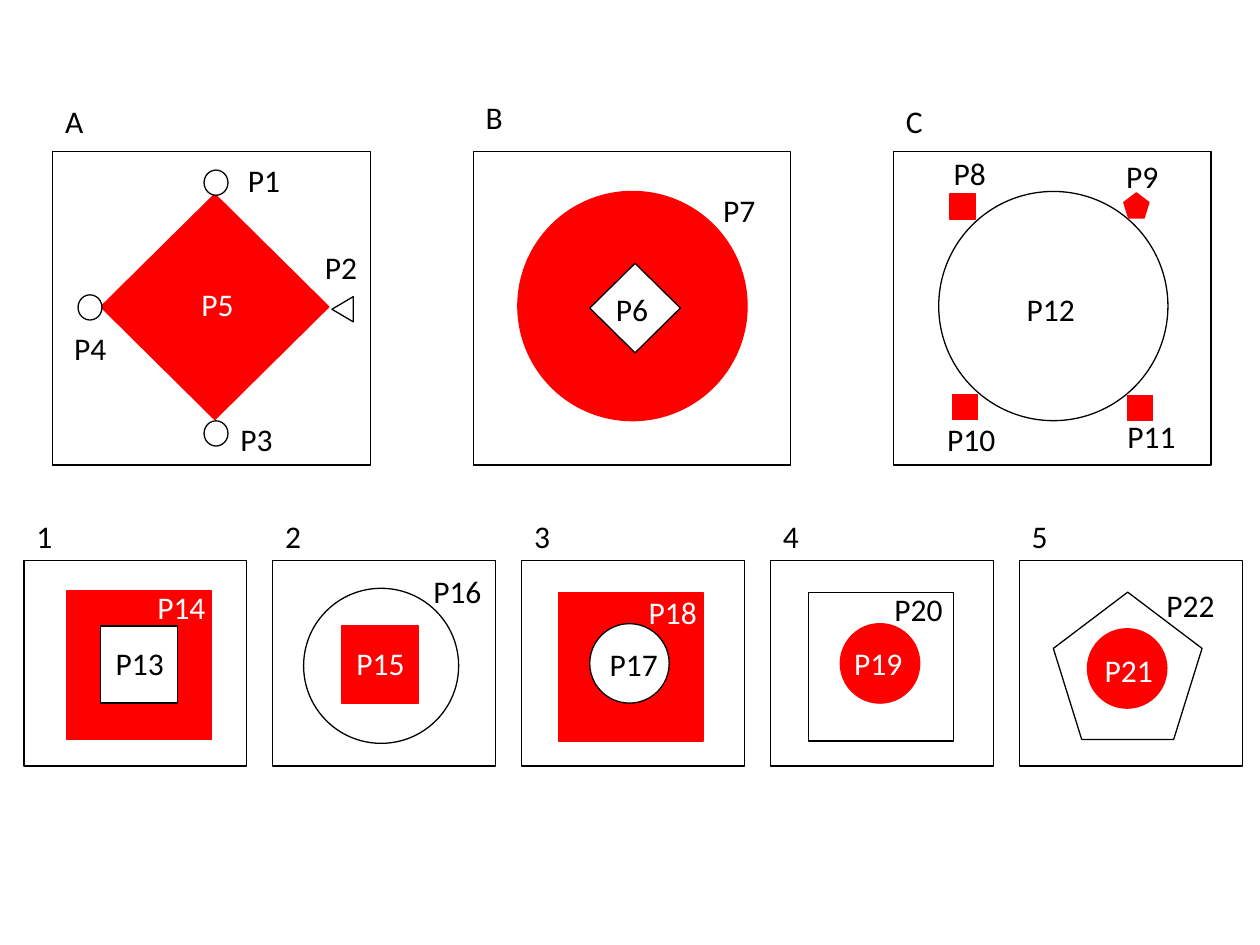
from dataclasses import dataclass

import pptx
import pptx.dml.color
import pptx.enum.shapes
import pptx.enum.text
import pptx.util

Pt = pptx.util.Pt
SHAPE = pptx.enum.shapes.MSO_SHAPE
COLOURS = {"black": "000000", "white": "FFFFFF", "red": "FF0000"}
LABEL_HEIGHT = 29


@dataclass(frozen=True)
class Figure:
    """A shape placed relative to its panel, in points; fill None leaves it open."""

    kind: int
    left: float
    top: float
    width: float
    height: float
    fill: str | None = "white"
    rotation: float = 0


@dataclass(frozen=True)
class Label:
    """A text placed relative to its panel, in points."""

    text: str
    left: float
    top: float
    width: float = 43.2
    colour: str = "black"


@dataclass(frozen=True)
class Panel:
    title: Label
    figures: list[Figure]
    labels: list[Label]


@dataclass(frozen=True)
class PanelRow:
    left: float
    top: float
    pitch: float
    width: float
    height: float
    panels: list[Panel]


def title(text: str, top: float) -> Label:
    return Label(text, 0, top, 28)


def circle(left: float, top: float, size: float, fill: str = "white") -> Figure:
    return Figure(SHAPE.OVAL, left, top, size, size, fill)


def square(left: float, top: float, size: float, fill: str = "white") -> Figure:
    return Figure(SHAPE.RECTANGLE, left, top, size, size, fill)


def knob(left: float, top: float) -> Figure:
    return Figure(SHAPE.OVAL, left, top, 13.7, 14.4)


def block(left: float, top: float, fill: str | None) -> Figure:
    return Figure(SHAPE.RECTANGLE, left, top, 82.8, 85, fill)


TOP_ROW = PanelRow(30.2, 86.4, 240.2, 181.4, 179.3, [
    Panel(
        title("A", -31.7),
        [
            Figure(SHAPE.DIAMOND, 27.4, 24.5, 130.3, 128.9, "red"),
            knob(86.4, 10.8),
            knob(14.4, 82.1),
            knob(86.4, 154.1),
            Figure(SHAPE.ISOSCELES_TRIANGLE, 158.4, 84.2, 14.4, 12.2, None, 270),
        ],
        [
            Label("P1", 104.4, 2.2),
            Label("P2", 148.4, 51.8),
            Label("P3", 100.1, 149.8),
            Label("P4", 5.1, 97.9),
            Label("P5", 77.8, 72.7, colour="white"),
        ],
    ),
    Panel(
        title("B", -33.8),
        [circle(25.5, 23, 131, "red"), Figure(SHAPE.DIAMOND, 66.6, 64.1, 51.8, 51.1)],
        [Label("P6", 74.5, 75.6), Label("P7", 135.7, 19.4)],
    ),
    Panel(
        title("C", -31.7),
        [
            circle(25.8, 23, 131),
            square(32.3, 24.5, 14.4, "red"),
            Figure(SHAPE.REGULAR_PENTAGON, 131.6, 23.8, 14.4, 14.4, "red"),
            square(33.7, 139, 14.4, "red"),
            square(133.8, 139.7, 14.4, "red"),
        ],
        [
            Label("P8", 27.2, -2.2, 56.2),
            Label("P9", 125.9, 0, 50.4),
            Label("P10", 23.6, 149.8, 59),
            Label("P11", 126.6, 148.3, 55.4),
            Label("P12", 69, 75.6, 76.3),
        ],
    ),
])

BOTTOM_ROW = PanelRow(13.7, 320.4, 142.2, 127.4, 117.4, [
    Panel(
        title("1", -28.8),
        [block(24.5, 17.3, "red"), square(43.9, 37.4, 43.9)],
        [Label("P13", 45.3, 43.9, 61.9), Label("P14", 69.1, 12.2, 51.8, "white")],
    ),
    Panel(
        title("2", -28.8),
        [circle(17.6, 15.8, 88.6), square(39.2, 37.4, 43.9, "red")],
        [Label("P15", 40.7, 43.9, 65.5, "white"), Label("P16", 84.6, 2.9, 56.2)],
    ),
    Panel(
        title("3", -28.8),
        [block(20.9, 18, "red"), circle(38.9, 36, 45.4)],
        [Label("P17", 43.2, 44.6, 77), Label("P18", 65.5, 15.1, 54.7, "white")],
    ),
    Panel(
        title("4", -28.8),
        [block(21.9, 18, None), circle(39.9, 36, 45.4, "red")],
        [Label("P19", 40.7, 43.9, 63.4, "white"), Label("P20", 63.7, 13, 73.4)],
    ),
    Panel(
        title("5", -28.8),
        [
            Figure(SHAPE.REGULAR_PENTAGON, 19.4, 18, 85, 84.2),
            circle(38.9, 38.9, 45.4, "red"),
        ],
        [Label("P21", 41.7, 48.2, 54.7, "white"), Label("P22", 77, 10.8, 50.4)],
    ),
])


def rgb(name: str) -> pptx.dml.color.RGBColor:
    return pptx.dml.color.RGBColor.from_string(COLOURS[name])


def draw_figure(slide: pptx.slide.Slide, left: float, top: float, figure: Figure) -> None:
    """Draw a figure in the panel at left, top; red figures get a red outline."""
    shape = slide.shapes.add_shape(
        figure.kind, Pt(left + figure.left), Pt(top + figure.top),
        Pt(figure.width), Pt(figure.height))
    shape.shadow.inherit = False
    shape.rotation = figure.rotation
    if figure.fill is None:
        shape.fill.background()
    else:
        shape.fill.solid()
        shape.fill.fore_color.rgb = rgb(figure.fill)
    shape.line.color.rgb = rgb("red" if figure.fill == "red" else "black")
    shape.line.width = Pt(0.75)


def draw_label(slide: pptx.slide.Slide, left: float, top: float, label: Label) -> None:
    text_box = slide.shapes.add_textbox(
        Pt(left + label.left), Pt(top + label.top), Pt(label.width), Pt(LABEL_HEIGHT))
    text_frame = text_box.text_frame
    text_frame.word_wrap = True
    text_frame.auto_size = pptx.enum.text.MSO_AUTO_SIZE.SHAPE_TO_FIT_TEXT
    text_frame.text = label.text
    font = text_frame.paragraphs[0].runs[0].font
    font.name = "Calibri"
    font.size = Pt(18)
    font.color.rgb = rgb(label.colour)


def draw_row(slide: pptx.slide.Slide, row: PanelRow) -> None:
    frame = Figure(SHAPE.RECTANGLE, 0, 0, row.width, row.height, None)
    for index, panel in enumerate(row.panels):
        left = row.left + index * row.pitch
        for figure in [frame, *panel.figures]:
            draw_figure(slide, left, row.top, figure)
        for label in [panel.title, *panel.labels]:
            draw_label(slide, left, row.top, label)


def main() -> None:
    presentation = pptx.Presentation()
    presentation.slide_width = Pt(720)
    presentation.slide_height = Pt(540)
    slide = presentation.slides.add_slide(presentation.slide_layouts[6])
    for row in (TOP_ROW, BOTTOM_ROW):
        draw_row(slide, row)
    presentation.save("out.pptx")


if __name__ == "__main__":
    main()
